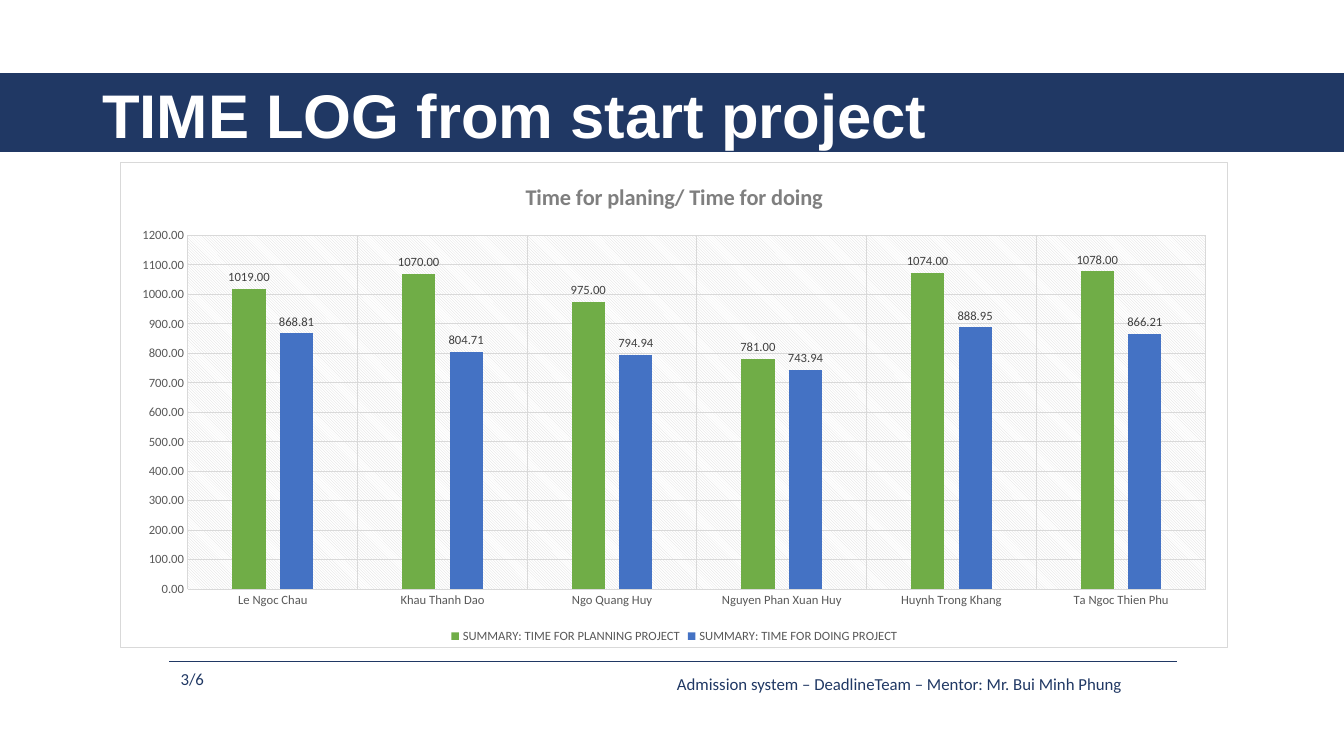
from lxml import etree
from pptx import Presentation
from pptx.chart.data import CategoryChartData
from pptx.dml.color import RGBColor
from pptx.enum.chart import XL_CHART_TYPE as CT, XL_LABEL_POSITION as LP
from pptx.enum.chart import XL_LEGEND_POSITION as LEG, XL_TICK_MARK as TICK
from pptx.enum.shapes import MSO_CONNECTOR as CONN, MSO_SHAPE as SHAPE
from pptx.enum.text import MSO_ANCHOR as ANCHOR
from pptx.oxml import parse_xml
from pptx.oxml.ns import nsdecls, qn
from pptx.util import Cm, Pt

NAVY, GRID, GRAY = "203864", "D9D9D9", "595959"


def rgb(value):
    return RGBColor.from_string(value)


def set_font(font, color, **values):
    font.color.rgb = rgb(color)
    for name, value in values.items():
        setattr(font, name, value)


prs = Presentation()
prs.slide_width, prs.slide_height = Cm(33.87), Cm(19.05)
s = prs.slides.add_slide(prs.slide_layouts[6])

band = s.shapes.add_shape(SHAPE.RECTANGLE, 0, Cm(1.85), prs.slide_width, Cm(1.96))
band.shadow.inherit = False
band.fill.solid()
band.fill.fore_color.rgb = band.line.color.rgb = rgb(NAVY)
band.line.width = Pt(1)

rule = s.shapes.add_connector(CONN.STRAIGHT, Cm(4.27), Cm(16.66), Cm(29.67), Cm(16.66))
rule.line.color.rgb = rgb(NAVY)
rule.line.width = Pt(0.5)
etree.SubElement(rule._element.spPr, qn("a:effectLst"))

texts = [
    ("TIME LOG from start project", (2.33, 1.02, 29.21, 3.68), ANCHOR.MIDDLE, "FFFFFF",
     {"name": "Arial", "size": Pt(44), "bold": True}),
    ("Admission system – DeadlineTeam – Mentor: Mr. Bui Minh Phung", (16.81, 16.84, 12.9, 0.77),
     ANCHOR.TOP, NAVY, {"name": "Calibri", "size": Pt(12)}),
    ("3/6", (4.3, 16.72, 1.3, 0.77), ANCHOR.TOP, NAVY, {"name": "Calibri", "size": Pt(12)}),
]
for text, box, anchor, color, values in texts:
    tf = s.shapes.add_textbox(*map(Cm, box)).text_frame
    tf.word_wrap = True
    tf.vertical_anchor = anchor
    p = tf.paragraphs[0]
    r = p.add_run()
    r.text = text
    set_font(r.font, color, **values)

data = CategoryChartData(number_format="0.00")
data.categories = ["Le Ngoc Chau", "Khau Thanh Dao", "Ngo Quang Huy",
                   "Nguyen Phan Xuan Huy", "Huynh Trong Khang", "Ta Ngoc Thien Phu"]
data.add_series("SUMMARY: TIME FOR PLANNING PROJECT", [1019, 1070, 975, 781, 1074, 1078])
data.add_series("SUMMARY: TIME FOR DOING PROJECT",
                [868.81, 804.71, 794.94, 743.94, 888.95, 866.21])
chart = s.shapes.add_chart(CT.COLUMN_CLUSTERED, Cm(3.02), Cm(4.09), Cm(27.94), Cm(12.24),
                           data).chart
set_font(chart.font, "000000", name="Calibri", size=Pt(10))

chart.has_title = True
p = chart.chart_title.text_frame.paragraphs[0]
r = p.add_run()
r.text = "Time for planing/ Time for doing"
set_font(r.font, "7F7F7F", name="Calibri", size=Pt(16), bold=True)
chart.chart_title.include_in_layout = False

chart.has_legend = True
chart.legend.position = LEG.BOTTOM
chart.legend.include_in_layout = False
set_font(chart.legend.font, GRAY, name="Calibri", size=Pt(9))

for axis in (chart.category_axis, chart.value_axis):
    axis.major_tick_mark = axis.minor_tick_mark = TICK.NONE
    axis.has_major_gridlines = True
    for line in (axis.format.line, axis.major_gridlines.format.line):
        line.color.rgb = rgb(GRID)
        line.width = Pt(0.75)
    set_font(axis.tick_labels.font, GRAY, name="Calibri", size=Pt(9))
values_axis = chart.value_axis
values_axis.format.line.fill.background()
values_axis.minimum_scale, values_axis.maximum_scale = 0, 1200
values_axis.major_unit = 100
values_axis.tick_labels.number_format = "0.00"
values_axis.tick_labels.number_format_is_linked = False

plot = chart.plots[0]
plot.vary_by_categories = False
plot.gap_width, plot.overlap = 267, -43
for series, color in zip(plot.series, ("70AD47", "4472C4")):
    series.format.fill.solid()
    series.format.fill.fore_color.rgb = rgb(color)
    labels = series.data_labels
    for name, value in {"show_value": True, "position": LP.OUTSIDE_END,
                        "number_format": "0.00", "number_format_is_linked": False}.items():
        setattr(labels, name, value)
    set_font(labels.font, "404040", name="Calibri", size=Pt(9))

ns = nsdecls("c", "a")
area = chart._chartSpace.find(qn("c:chart"))
area.find(qn("c:plotArea")).append(parse_xml(
    f'<c:spPr {ns}><a:pattFill prst="ltDnDiag"><a:fgClr><a:srgbClr val="{GRID}"/></a:fgClr>'
    '<a:bgClr><a:srgbClr val="FFFFFF"/></a:bgClr></a:pattFill></c:spPr>'))
area.addnext(parse_xml(
    f'<c:spPr {ns}><a:solidFill><a:srgbClr val="FFFFFF"/></a:solidFill>'
    f'<a:ln w="9525"><a:solidFill><a:srgbClr val="{GRID}"/></a:solidFill></a:ln></c:spPr>'))

prs.save("out.pptx")
